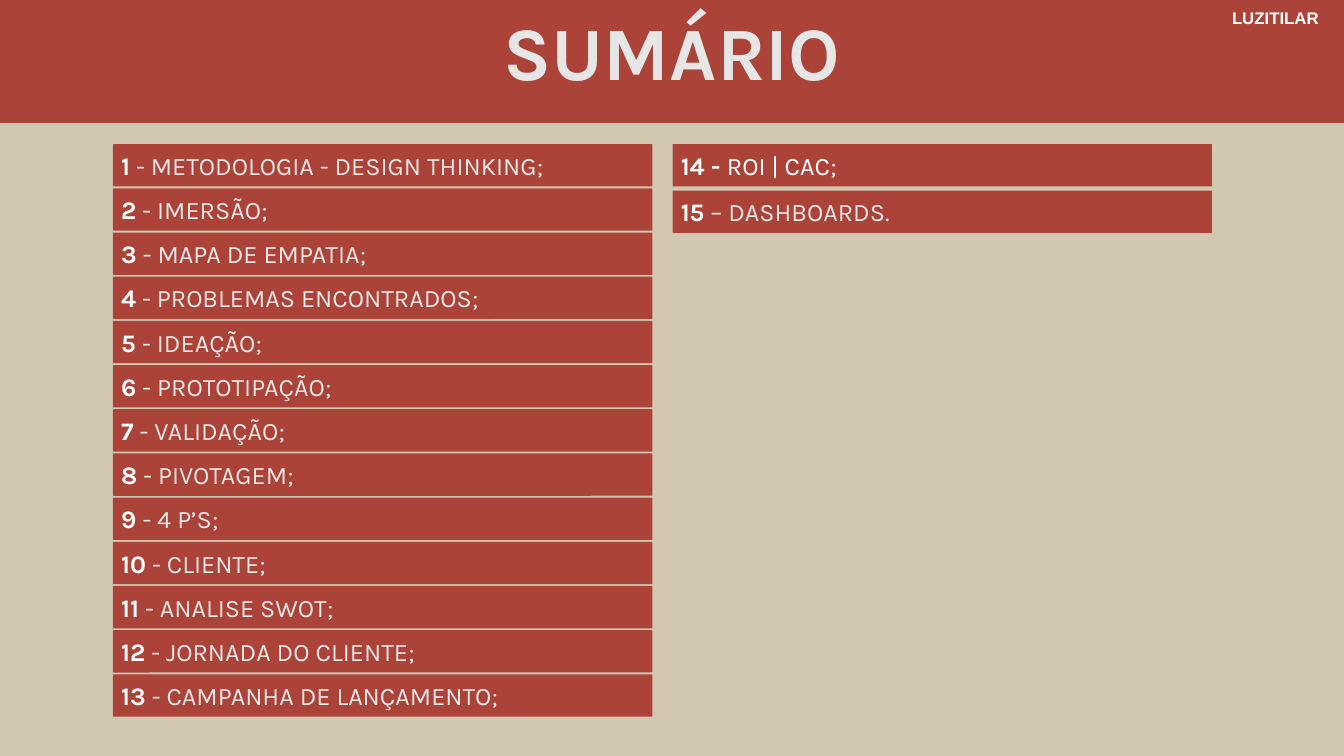
"""Build the summary slide with its banner and two columns of topics."""
from dataclasses import dataclass

from lxml import etree
from pptx import Presentation
from pptx import util as u
from pptx.dml import color
from pptx.enum import shapes, text
from pptx.oxml import ns


@dataclass(frozen=True)
class Theme:
    """Colours, fonts and type sizes of the slide."""
    sand: str = "D2C7B1"
    red: str = "9F1812"
    white: str = "FFFFFF"
    pale: str = "E7E6E6"
    body: str = "Karla"
    label: str = "Arial"
    big: float = 53.9
    mid: float = 18
    small: float = 12
    alpha: int = 75


THEME = Theme()
WIDTH, HEIGHT = 13.33, 7.5
BAR_W, BAR_H, TOP = 5.35, 0.42, 1.43
LEFT = [
    ("1", " - METODOLOGIA - DESIGN THINKING;"),
    ("2", " - IMERSÃO;"),
    ("3", " - MAPA DE EMPATIA;"),
    ("4", " - PROBLEMAS ENCONTRADOS;"),
    ("5 ", "- IDEAÇÃO;"),
    ("6", " - PROTOTIPAÇÃO;"),
    ("7", " - VALIDAÇÃO;"),
    ("8", " - PIVOTAGEM;"),
    ("9", " - 4 P’S;"),
    ("10", " - CLIENTE;"),
    ("11", " - ANALISE SWOT;"),
    ("12", " - JORNADA DO CLIENTE;"),
    ("13", " - CAMPANHA DE LANÇAMENTO;"),
]
RIGHT = [("14 - ", "ROI | CAC;", THEME.white), ("15", " – DASHBOARDS.")]


def apply(item, **values):
    """Set each attribute of an item from its format values."""
    for name, value in values.items():
        setattr(item, name, value)


def add_run(para, words, size, tone, bold=True, face=THEME.body):
    """Add one styled run to a paragraph."""
    run = para.add_run()
    run.text = words
    apply(run.font, name=face, size=u.Pt(size), bold=bold)
    run.font.color.rgb = color.RGBColor.from_string(tone)


def set_frame(shape, left=0, top=0):
    """Set up the text frame of a shape and return its first paragraph."""
    frame = shape.text_frame
    apply(frame, word_wrap=True, vertical_anchor=text.MSO_ANCHOR.MIDDLE,
          margin_left=u.Inches(left), margin_top=u.Inches(top),
          margin_right=0, margin_bottom=0)
    return frame.paragraphs[0]


def add_block(slide, kind, *box):
    """Add a translucent red block without an outline."""
    block = slide.shapes.add_shape(kind, *map(u.Inches, box))
    block.shadow.inherit = False
    block.line.fill.background()
    block.fill.solid()
    block.fill.fore_color.rgb = color.RGBColor.from_string(THEME.red)
    tint = block.fill._xPr.find(".//" + ns.qn("a:srgbClr"))
    etree.SubElement(tint, ns.qn("a:alpha"), val=str(THEME.alpha * 1000))
    return block


def add_topic(slide, left, top, number, words, tone=THEME.pale):
    """Add one topic bar with a bold number."""
    bar = add_block(slide, shapes.MSO_SHAPE.ROUNDED_RECTANGLE,
                    left, top, BAR_W, BAR_H)
    bar.adjustments[0] = 0.017
    para = set_frame(bar, left=0.08)
    para.alignment = text.PP_ALIGN.JUSTIFY
    add_run(para, number, THEME.mid, THEME.white)
    add_run(para, words, THEME.mid, tone, bold=False)


def add_column(slide, left, pitch, topics):
    """Stack topic bars at an equal pitch."""
    for row, topic in enumerate(topics):
        add_topic(slide, left, TOP + row * pitch, *topic)


def add_title(slide, words):
    """Add the large centred heading."""
    box = slide.shapes.add_textbox(*map(u.Inches, (0, 0.21, WIDTH, 0.8)))
    para = set_frame(box)
    apply(para, alignment=text.PP_ALIGN.CENTER, line_spacing=0.7)
    add_run(para, words, THEME.big, THEME.pale)


def add_label(slide, words):
    """Add the small name in the top corner."""
    box = slide.shapes.add_textbox(*map(u.Inches, (12.21, 0.06, 0.97, 0.22)))
    para = set_frame(box, left=0.01, top=0.01)
    para.alignment = text.PP_ALIGN.LEFT
    add_run(para, words, THEME.small, THEME.white, face=THEME.label)


def main():
    """Build and save the slide."""
    deck = Presentation()
    apply(deck, slide_width=u.Inches(WIDTH), slide_height=u.Inches(HEIGHT))
    slide = deck.slides.add_slide(deck.slide_layouts[6])
    back = slide.background.fill
    back.solid()
    back.fore_color.rgb = color.RGBColor.from_string(THEME.sand)
    add_block(slide, shapes.MSO_SHAPE.RECTANGLE, 0, 0, WIDTH, 1.22)
    add_title(slide, "SUMÁRIO")
    add_label(slide, "LUZITILAR")
    add_column(slide, 1.12, 5.26 / 12, LEFT)
    add_column(slide, 6.67, 0.46, RIGHT)
    deck.save("out.pptx")


if __name__ == "__main__":
    main()
